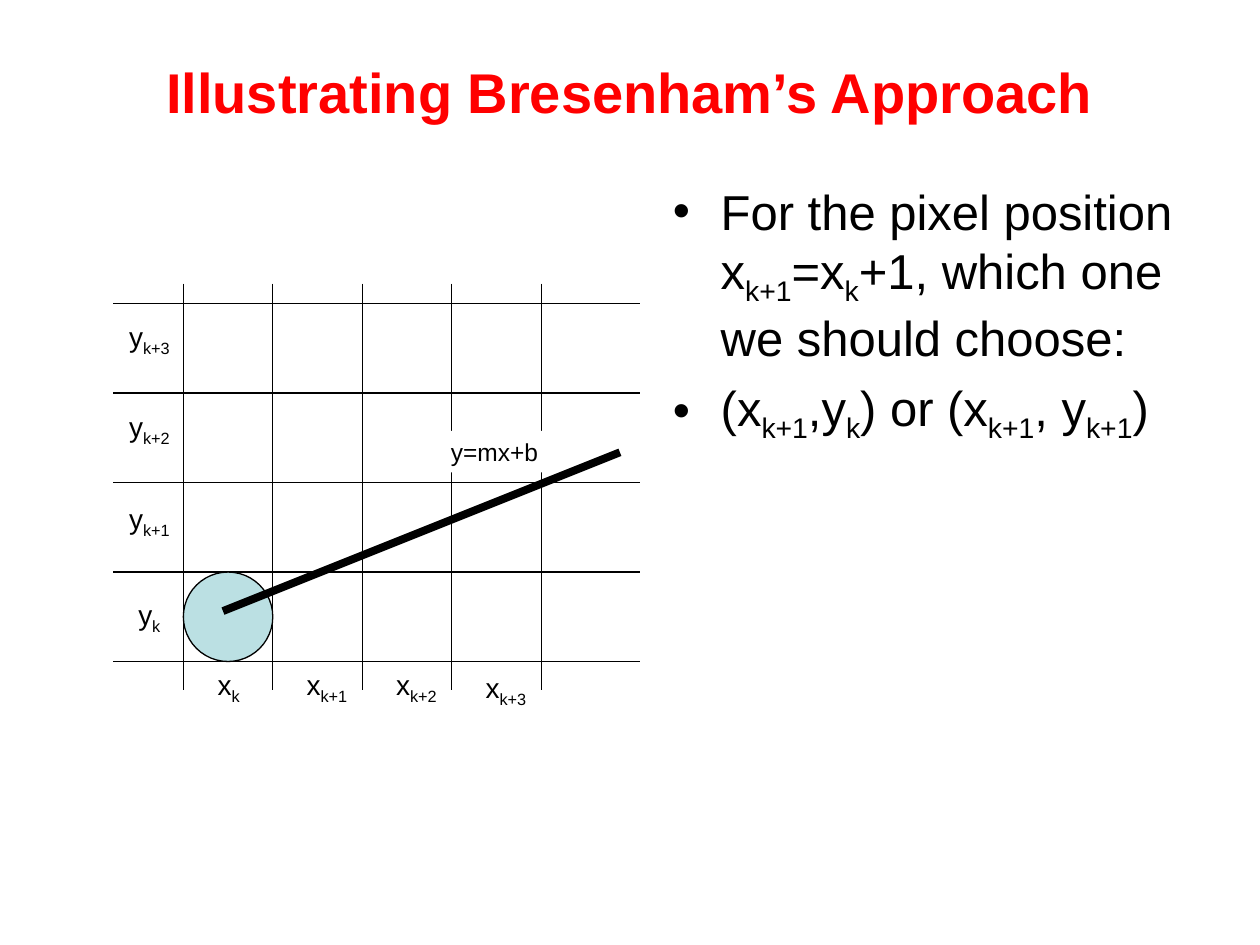
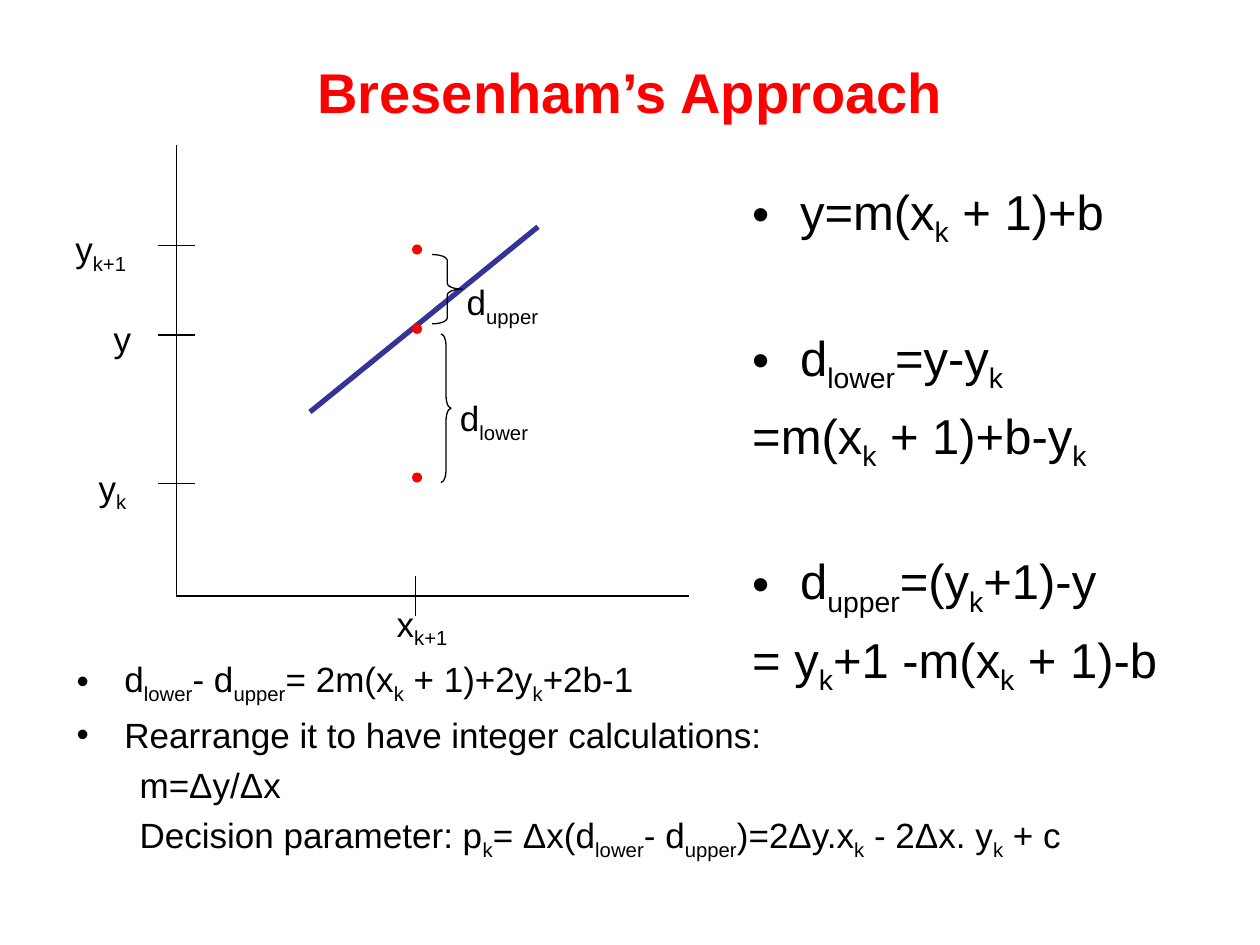
from lxml import etree
from pptx import Presentation
from pptx.dml.color import RGBColor
from pptx.enum.shapes import MSO_CONNECTOR, MSO_SHAPE
from pptx.enum.text import MSO_ANCHOR, MSO_AUTO_SIZE, PP_ALIGN
from pptx.oxml.ns import qn
from pptx.util import Inches, Pt

BLACK = RGBColor(0x00, 0x00, 0x00)
WHITE = RGBColor(0xFF, 0xFF, 0xFF)
RED = RGBColor(0xFF, 0x00, 0x00)
BLUE = RGBColor(0x33, 0x33, 0x99)
PALE_BLUE = RGBColor(0xBB, 0xE0, 0xE3)
FONT = "Arial"
LEFT, CENTER, RIGHT = PP_ALIGN.LEFT, PP_ALIGN.CENTER, PP_ALIGN.RIGHT
STRAIGHT = MSO_CONNECTOR.STRAIGHT
OVAL, RECTANGLE, BRACE = MSO_SHAPE.OVAL, MSO_SHAPE.RECTANGLE, MSO_SHAPE.RIGHT_BRACE
THIN = 0.75
BULLET, PLAIN, NESTED = "bullet", "plain", "nested"
INDENTS = {BULLET: (0.38, -0.38), PLAIN: (0.38, -0.38), NESTED: (0.81, -0.31)}


def write(text_frame, text, size, alignment=LEFT, style=None, gap=0):
    """Add a paragraph; every second part between bars is a subscript."""
    first = not text_frame.text
    paragraph = text_frame.paragraphs[0] if first else text_frame.add_paragraph()
    paragraph.alignment = alignment
    paragraph.space_before = Pt(0 if first else gap)
    if style:
        margin, indent = INDENTS[style]
        properties = paragraph._p.get_or_add_pPr()
        properties.set("marL", str(Inches(margin)))
        properties.set("indent", str(Inches(indent)))
        if style == BULLET:
            etree.SubElement(properties, qn("a:buFont")).set("typeface", FONT)
            etree.SubElement(properties, qn("a:buChar")).set("char", "•")
        else:
            etree.SubElement(properties, qn("a:buNone"))
    for index, part in enumerate(text.split("|")):
        if part:
            run = paragraph.add_run()
            run.text = part
            run.font.name, run.font.size = FONT, Pt(size)
            run.font.color.rgb = BLACK
            if index % 2:
                run._r.get_or_add_rPr().set("baseline", "-25000")


def add_line(shapes, x1, y1, x2, y2, color=BLACK, width=THIN):
    line = shapes.add_connector(STRAIGHT, Inches(x1), Inches(y1), Inches(x2), Inches(y2))
    line.line.color.rgb = color
    line.line.width = Pt(width)
    etree.SubElement(line._element.spPr, qn("a:effectLst"))


presentation = Presentation()
presentation.slide_width, presentation.slide_height = Inches(10), Inches(7.5)

# Titles and bulleted bodies; each entry is (style, space before, text)
slide_texts = [
    ("Illustrating Bresenham’s Approach", (5.24, 1.39, 4.49, 5.31), [
        (BULLET, 0, "For the pixel position x|k+1|=x|k|+1, which one we should choose:"),
        (BULLET, 6.4, "(x|k+1|,y|k|) or (x|k+1|, y|k+1|)"),
    ]),
    ("Bresenham’s Approach", (5.87, 1.39, 3.63, 4.25), [
        (BULLET, 0, "y=m(x|k| + 1)+b"),
        (BULLET, 45, "d|lower|=y-y|k|"),
        (PLAIN, 6.4, "=m(x|k| + 1)+b-y|k|"),
        (BULLET, 45, "d|upper|=(y|k|+1)-y"),
        (PLAIN, 6.4, "= y|k|+1 -m(x|k| + 1)-b"),
    ]),
]
for title_text, body_box, entries in slide_texts:
    slide = presentation.slides.add_slide(presentation.slide_layouts[1])
    title = slide.shapes.title
    title.left, title.top, title.width, title.height = map(Inches, (0.5, 0.3, 9, 0.85))
    title.text_frame.text = title_text
    title.text_frame.vertical_anchor = MSO_ANCHOR.MIDDLE
    title.text_frame.auto_size = MSO_AUTO_SIZE.NONE
    paragraph = title.text_frame.paragraphs[0]
    paragraph.alignment = CENTER
    font = paragraph.runs[0].font
    font.name, font.size, font.bold = FONT, Pt(32), True
    font.color.rgb = RED

    body = slide.placeholders[1]
    body.left, body.top, body.width, body.height = map(Inches, body_box)
    body.text_frame.auto_size = MSO_AUTO_SIZE.NONE
    for style, gap, text in entries:
        write(body.text_frame, text, 28, LEFT, style, gap)

grid_slide, distance_slide = presentation.slides

# Slide 1: pixel grid
CELL, GRID_LEFT, GRID_TOP = 0.71, 1.455, 2.41
shapes = grid_slide.shapes
for index in range(5):
    y = GRID_TOP + index * CELL
    add_line(shapes, 0.9, y, 5.08, y)
for index in range(5):
    x = GRID_LEFT + index * CELL
    add_line(shapes, x, 2.25, x, 5.48)

pixel = shapes.add_shape(OVAL, Inches(GRID_LEFT), Inches(GRID_TOP + 3 * CELL),
                         Inches(CELL), Inches(CELL))
pixel.shadow.inherit = False
pixel.fill.solid()
pixel.fill.fore_color.rgb = PALE_BLUE
pixel.line.color.rgb = BLACK
pixel.line.width = Pt(THIN)
add_line(shapes, 1.77, 4.85, 4.92, 3.59, BLACK, 4.5)

equation = shapes.add_shape(RECTANGLE, Inches(3.19), Inches(3.42), Inches(1.18), Inches(0.33))
equation.shadow.inherit = False
equation.fill.solid()
equation.fill.fore_color.rgb = WHITE
equation.line.fill.background()
equation.text_frame.word_wrap = True
equation.text_frame.vertical_anchor = MSO_ANCHOR.TOP
write(equation.text_frame, "y=mx+b", 14, RIGHT)

grid_labels = [
    (0.83, 4.69, "y|k"), (0.83, 3.93, "y|k+1"), (0.83, 3.2, "y|k+2"), (0.83, 2.49, "y|k+3"),
    (1.46, 5.25, "x|k"), (2.24, 5.25, "x|k+1"), (2.95, 5.25, "x|k+2"), (3.66, 5.27, "x|k+3"),
]
for x, y, text in grid_labels:
    label = shapes.add_textbox(Inches(x), Inches(y), Inches(CELL), Inches(0.37))
    label.text_frame.word_wrap = True
    write(label.text_frame, text, 16, CENTER)

# Slide 2: distances from the line to the two candidate pixels
AXIS_X, AXIS_Y, TICK = 1.4, 4.73, 0.15
diagram = distance_slide.shapes.add_group_shape().shapes
add_line(diagram, AXIS_X, 1.15, AXIS_X, AXIS_Y)
add_line(diagram, AXIS_X, AXIS_Y, 5.47, AXIS_Y)
add_line(diagram, 2.46, 3.27, 4.27, 1.8, BLUE, 3)
for y in (1.95, 2.66, 3.84):
    add_line(diagram, AXIS_X - TICK, y, AXIS_X + TICK, y)
add_line(diagram, 3.3, 4.57, 3.3, 4.89)

for y in (3.75, 2.57, 1.94):
    dot = diagram.add_shape(OVAL, Inches(3.27), Inches(y), Inches(0.08), Inches(0.08))
    dot.shadow.inherit = False
    dot.fill.solid()
    dot.fill.fore_color.rgb = RED
    dot.line.fill.background()

for box, curve in (((3.43, 2.02, 0.24, 0.55), 0.195), ((3.5, 2.65, 0.08, 1.18), 1.259)):
    brace = diagram.add_shape(BRACE, *map(Inches, box))
    brace.shadow.inherit = False
    brace.adjustments[0] = curve
    brace.fill.background()
    brace.line.color.rgb = BLACK
    brace.line.width = Pt(THIN)

distance_labels = [
    (0.24, 2.47, 0.9, "y"), (0.2, 1.76, 0.9, "y|k+1"), (0.2, 3.65, 0.9, "y|k"),
    (1.69, 4.73, 1.96, "x|k+1"), (3.03, 2.18, 1.34, "d|upper"), (2.95, 3.1, 1.34, "d|lower"),
]
for x, y, width, text in distance_labels:
    label = diagram.add_textbox(Inches(x), Inches(y), Inches(width), Inches(0.43))
    label.text_frame.word_wrap = True
    write(label.text_frame, text, 20, RIGHT)

derivation = distance_slide.shapes.add_textbox(
    Inches(0.51), Inches(5.17), Inches(8.74), Inches(2.13))
derivation.text_frame.word_wrap = True
for style, text in [
    (BULLET, "d|lower|- d|upper|= 2m(x|k| + 1)+2y|k|+2b-1"),
    (BULLET, "Rearrange it to have integer calculations:"),
    (NESTED, "m=Δy/Δx"),
    (NESTED, "Decision parameter: p|k|= Δx(d|lower|- d|upper|)=2Δy.x|k| - 2Δx. y|k| + c"),
]:
    write(derivation.text_frame, text, 20, LEFT, style, 4.6)
    if style == NESTED:
        derivation.text_frame.paragraphs[-1].level = 1

presentation.save("out.pptx")
